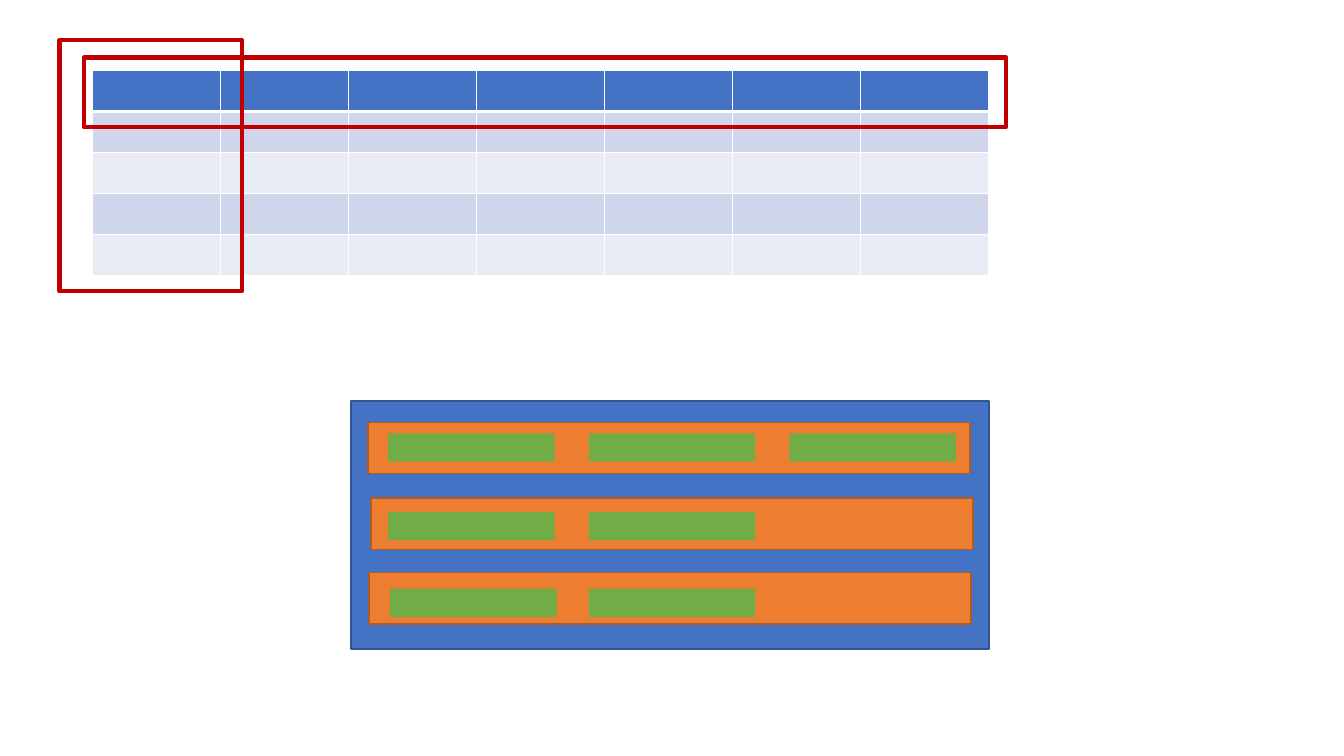
from lxml.etree import SubElement
from pptx import Presentation
from pptx.dml.color import RGBColor
from pptx.enum.shapes import MSO_SHAPE
from pptx.oxml.ns import qn
from pptx.util import Inches, Pt

COLORS = {
    "header": "4472C4", "odd_row": "CFD5EA", "even_row": "E9EBF5",
    "grid": "FFFFFF", "highlight": "C00000",
    "panel": "4472C4", "panel_line": "325491",
    "bar": "ED7D31", "bar_line": "AF5C24", "item": "70AD47",
}


class SlideBuilder:
    """Holds the colours and the current slide."""

    def __init__(self, slide, colors):
        """Keep the slide and its colours."""
        self.slide = slide
        self.colors = colors

    def paint(self, fill, name):
        """Make a fill solid in a named colour."""
        fill.solid()
        fill.fore_color.rgb = RGBColor.from_string(self.colors[name])

    def rectangle(self, left, top, width, height, fill=None, line=None, weight=1):
        """Add a rectangle, with a fill and a line where they are named."""
        box = self.slide.shapes.add_shape(
            MSO_SHAPE.RECTANGLE, Inches(left), Inches(top), Inches(width), Inches(height))
        box.shadow.inherit = False
        if fill:
            self.paint(box.fill, fill)
        else:
            box.fill.background()
        if line:
            self.paint(box.line.fill, line)
            box.line.width = Pt(weight)
        else:
            box.line.fill.background()
        return box

    def border(self, cell, weights):
        """Draw the left, right, top and bottom borders of a cell."""
        properties = cell._tc.get_or_add_tcPr()
        for index, (side, weight) in enumerate(zip("LRTB", weights)):
            edge = SubElement(properties, qn(f"a:ln{side}"), w=str(Pt(weight)))
            solid = SubElement(edge, qn("a:solidFill"))
            SubElement(solid, qn("a:srgbClr"), val=self.colors["grid"])
            properties.insert(index, edge)

    def banded_table(self, left, top, width, height, rows, columns):
        """Add an empty table with a header row and banded body rows."""
        table = self.slide.shapes.add_table(
            rows, columns, Inches(left), Inches(top), Inches(width), Inches(height)).table
        for row_index, row in enumerate(table.rows):
            band = "odd_row" if row_index % 2 else "even_row"
            name = band if row_index else "header"
            top_weight = 3 if row_index == 1 else 1
            bottom_weight = 1 if row_index else 3
            for cell in row.cells:
                self.paint(cell.fill, name)
                self.border(cell, (1, 1, top_weight, bottom_weight))
        return table


def main():
    """Build and save the slide."""
    deck = Presentation()
    deck.slide_width, deck.slide_height = Inches(13.33), Inches(7.5)
    page = SlideBuilder(deck.slides.add_slide(deck.slide_layouts[6]), COLORS)

    page.banded_table(0.92, 0.7, 8.89, 2.03, rows=5, columns=7)
    header_row = (0.83, 0.57, 9.15, 0.69)
    first_column = (0.59, 0.4, 1.81, 2.49)
    for area in (header_row, first_column):
        page.rectangle(*area, line="highlight", weight=3)

    page.rectangle(3.48, 3.98, 6.33, 2.46, "panel", "panel_line")
    # Bar left and top, then first item left, item top and item count.
    bars = [
        (3.65, 4.19, 3.85, 4.3, 3),
        (3.68, 4.94, 3.85, 5.08, 2),
        (3.66, 5.68, 3.87, 5.84, 2),
    ]
    for bar_left, bar_top, first_left, item_top, count in bars:
        page.rectangle(bar_left, bar_top, 5.97, 0.51, "bar", "bar_line")
        for item_left in (first_left, 5.84, 7.83)[:count]:
            page.rectangle(item_left, item_top, 1.65, 0.28, "item")

    deck.save("out.pptx")


main()
